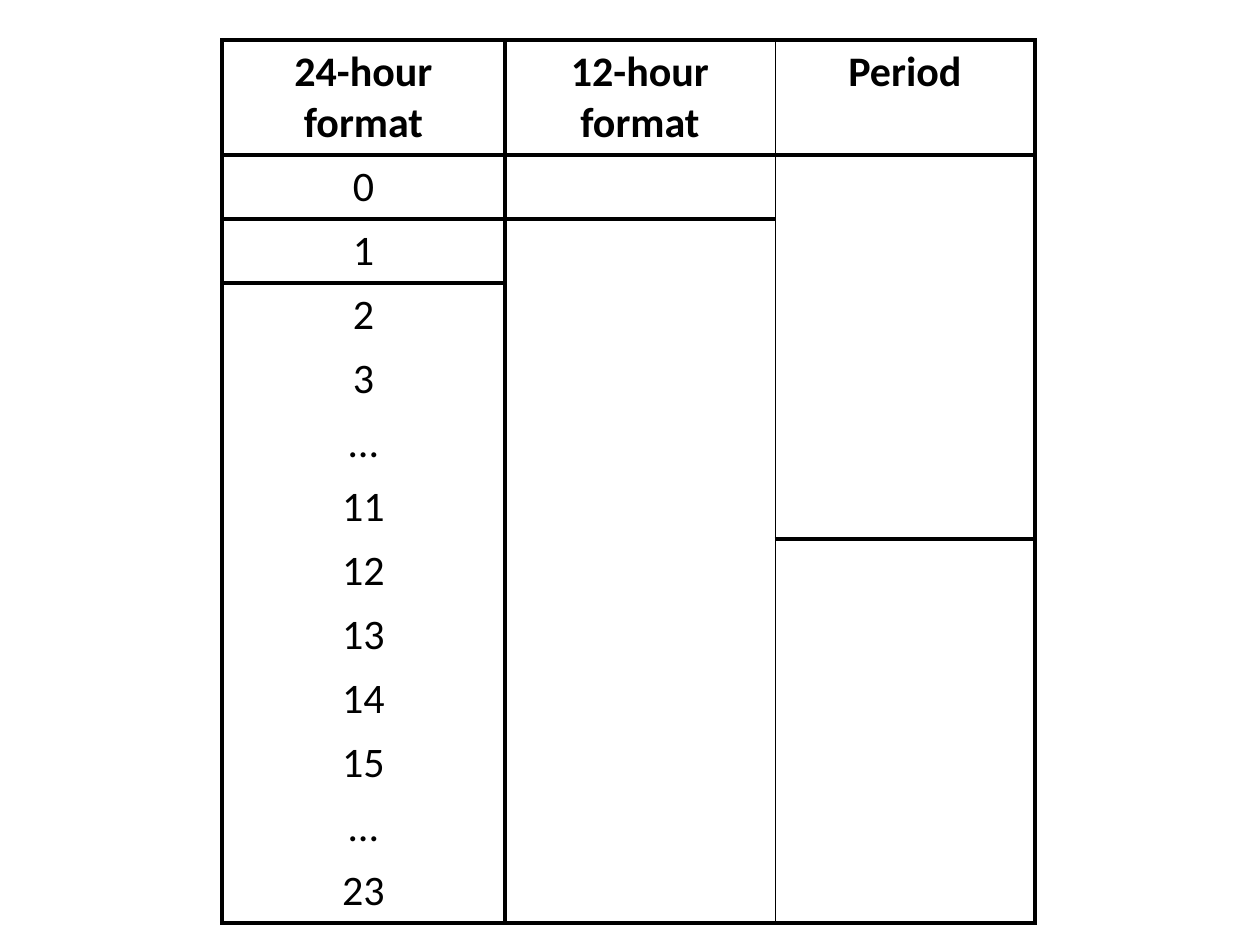
from lxml import etree
from pptx import Presentation
from pptx.dml.color import RGBColor
from pptx.enum.text import PP_ALIGN
from pptx.oxml.ns import qn
from pptx.util import Emu, Pt

PX = 914400 // 126
BLACK = RGBColor(0, 0, 0)
CENTER = PP_ALIGN.CENTER
NO_GRID_STYLE = "{2D5ABB26-0587-4C30-8999-92F81FD0307C}"
THICK, THIN = 2.25, 0.5

HEADINGS = ["24-hour format", "12-hour format", "Period"]
HOURS = ["0", "1", "2", "3", "…", "11", "12", "13", "14", "15", "…", "23"]
COLUMN_WIDTHS = [283, 270, 260]
HEADER_HEIGHT, HOUR_HEIGHT = 115, 64
LEFT, TOP = 222, 40
LAST = len(HOURS)
PERIOD_SPANS = [(1, 6), (7, LAST)]


def add_border(cell, side, width):
    line = etree.SubElement(cell._tc.get_or_add_tcPr(), qn(f"a:ln{side}"), w=str(Pt(width)))
    fill = etree.SubElement(line, qn("a:solidFill"))
    etree.SubElement(fill, qn("a:srgbClr"), val=str(BLACK))


prs = Presentation()
prs.slide_width = Emu(1260 * PX)
prs.slide_height = Emu(945 * PX)
slide = prs.slides.add_slide(prs.slide_layouts[6])

frame = slide.shapes.add_table(
    LAST + 1, len(HEADINGS), LEFT * PX, TOP * PX,
    sum(COLUMN_WIDTHS) * PX, (HEADER_HEIGHT + LAST * HOUR_HEIGHT) * PX)
timetable = frame.table
timetable.horz_banding = False
timetable._tbl.tblPr.find(qn("a:tableStyleId")).text = NO_GRID_STYLE

for column, width in zip(timetable.columns, COLUMN_WIDTHS):
    column.width = Emu(width * PX)
for index, row in enumerate(timetable.rows):
    row.height = Emu((HOUR_HEIGHT if index else HEADER_HEIGHT) * PX)

for first, last in PERIOD_SPANS:
    timetable.cell(first, 2).merge(timetable.cell(last, 2))

texts = [HEADINGS] + [[hour, "", ""] for hour in HOURS]
bottom_edges = {(1, 0), (PERIOD_SPANS[-1][0], 2)}
for r, row_texts in enumerate(texts):
    for c, text in enumerate(row_texts):
        cell = timetable.cell(r, c)
        add_border(cell, "L", THIN if c == 2 else THICK)
        add_border(cell, "R", THIN if c == 1 else THICK)
        if r < 2 or (r, c) == (2, 0):
            add_border(cell, "T", THICK)
        if r in (0, LAST) or (r, c) in bottom_edges:
            add_border(cell, "B", THICK)
        cell.fill.background()
        if text:
            paragraph = cell.text_frame.paragraphs[0]
            paragraph.text = text
            paragraph.alignment = CENTER
            font = paragraph.runs[0].font
            font.name = "Calibri"
            font.size = Pt(24)
            font.bold = r == 0
            font.color.rgb = BLACK

prs.save("out.pptx")
